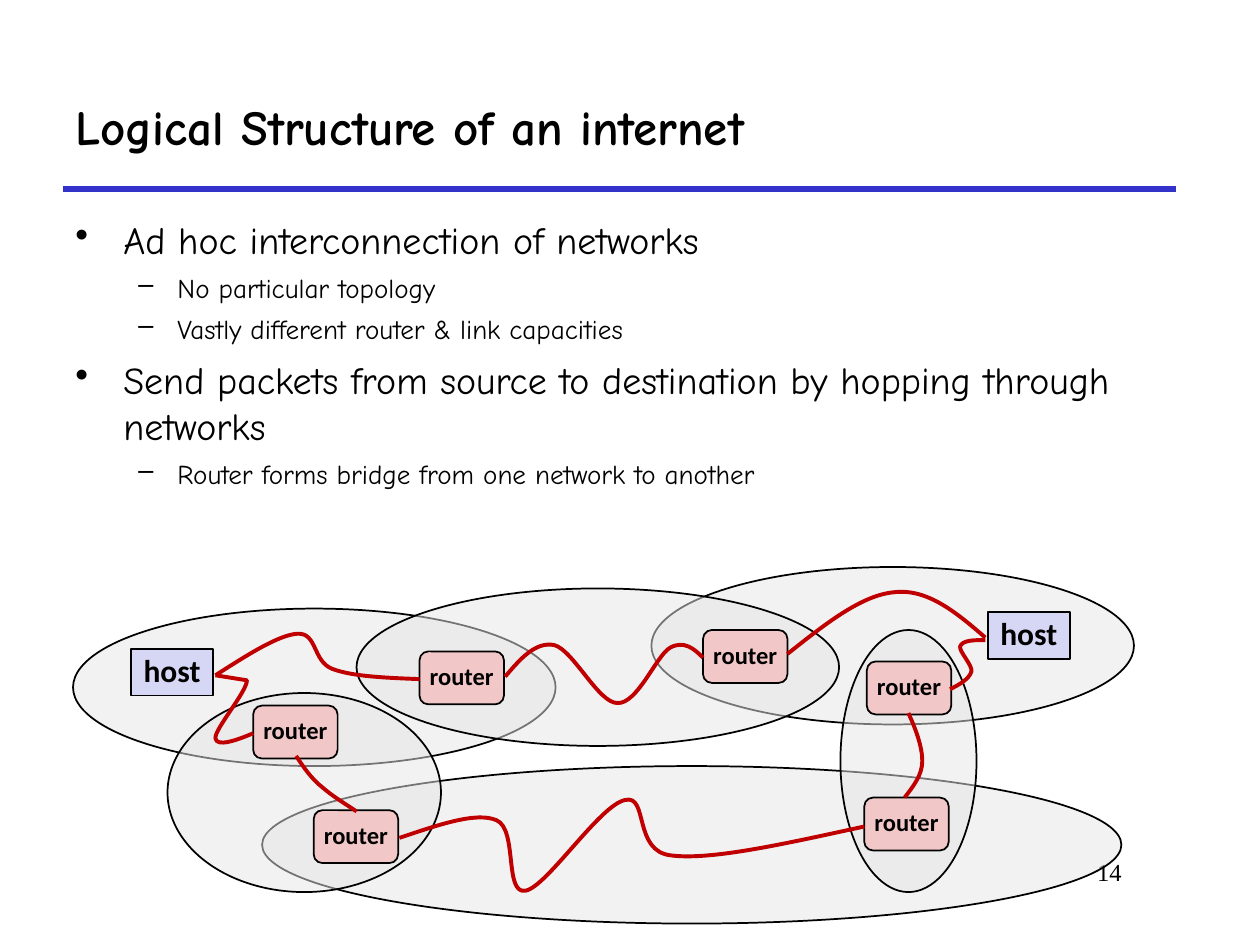
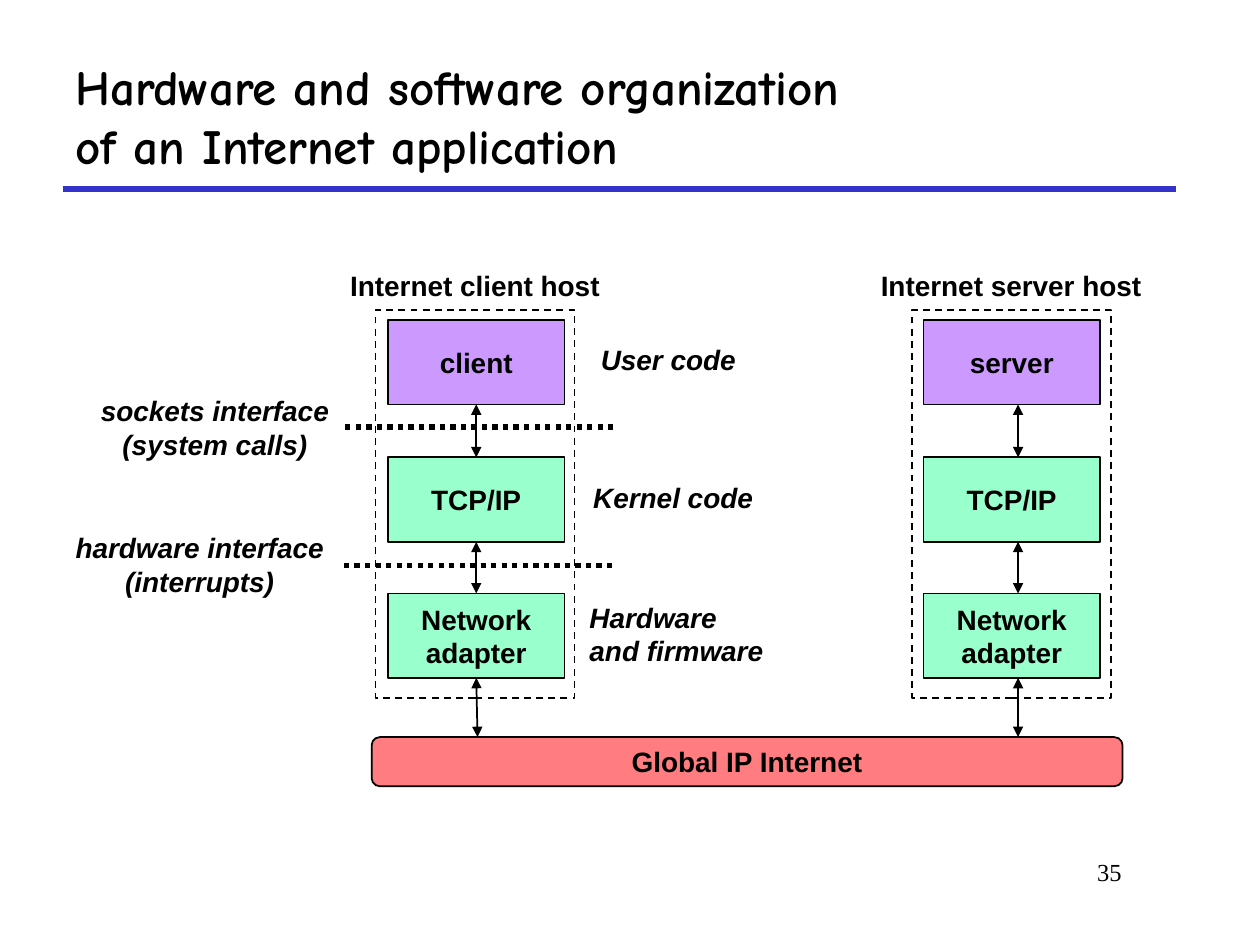
from lxml.etree import SubElement
from pptx import Presentation
from pptx.dml.color import RGBColor
from pptx.enum.dml import MSO_LINE as Dash
from pptx.enum.shapes import MSO_CONNECTOR as Connector, MSO_SHAPE as Shape
from pptx.enum.text import MSO_ANCHOR as Anchor, PP_ALIGN as Align
from pptx.oxml.ns import qn
from pptx.util import Pt

PX = 9144  # 100 px to the inch


class Theme:
    BLACK = "000000"
    RULE = "3333CC"
    CLOUD = "E6E6E6"
    ROUTER = "F1C7C7"
    HOST = "D6D6F5"
    ROUTE = "C00000"
    USER = "CC99FF"
    SYSTEM = "99FFCC"
    INTERNET = "FF7C80"
    TITLE = {"name": "Comic Neue", "size": Pt(28), "bold": True}
    BODY = {"name": "Comic Neue", "size": Pt(21.7)}
    SUB_SIZE = Pt(15.5)
    ROUTER_TEXT = {"name": "Calibri", "size": Pt(14), "bold": True}
    HOST_TEXT = {"name": "Calibri", "size": Pt(18), "bold": True}
    LABEL = {"name": "Arial", "size": Pt(16), "bold": True}
    NOTE = {**LABEL, "italic": True}
    NUMBER = {"name": "Times New Roman", "size": Pt(14)}


def add_box(page, kind, at, lines=(), look=None, fill=None, dash=None,
            align=Align.CENTER, anchor=Anchor.MIDDLE, wrap=False, spacing=None):
    """Add a preset shape, or a text box when kind is None, with one paragraph per line."""
    place = [n * PX for n in at]
    if kind is None:
        box = page.shapes.add_textbox(*place)
    else:
        box = page.shapes.add_shape(kind, *place)
        box.shadow.inherit = False
        box.line.color.rgb = RGBColor.from_string(Theme.BLACK)
        box.line.width = Pt(1)
        if dash:
            box.line.dash_style = dash
        if fill:
            box.fill.solid()
            box.fill.fore_color.rgb = RGBColor.from_string(fill)
        else:
            box.fill.background()
    frame = box.text_frame
    frame.word_wrap, frame.vertical_anchor = wrap, anchor
    for index, line in enumerate(lines):
        para = frame.add_paragraph() if index else frame.paragraphs[0]
        para.text = line
        para.alignment = align
        para.line_spacing = spacing
        for span in para.runs:
            span.font.color.rgb = RGBColor.from_string(Theme.BLACK)
            for name, value in look.items():
                setattr(span.font, name, value)
    return box


def add_line(page, start, end, color=Theme.BLACK, weight=1, dash=None, arrows=False):
    ends = [n * PX for n in (*start, *end)]
    line = page.shapes.add_connector(Connector.STRAIGHT, *ends)
    line.line.color.rgb = RGBColor.from_string(color)
    line.line.width = Pt(weight)
    if dash:
        line.line.dash_style = dash
    properties = line.element.spPr
    if arrows:
        for tag in ("a:headEnd", "a:tailEnd"):
            SubElement(properties.find(qn("a:ln")), qn(tag), type="triangle")
    SubElement(properties, qn("a:effectLst"))
    return line


deck = Presentation()
deck.slide_width, deck.slide_height = 1000 * PX, 750 * PX

# Title, rule and page number on both slides
pages = []
for title, title_at, number in (
    ("Logical Structure of an internet", (50, 50, 883, 100), "14"),
    ("Hardware and software organization \vof an Internet application",
     (50, 33, 883, 117), "35"),
):
    page = deck.slides.add_slide(deck.slide_layouts[6])
    add_line(page, (50, 150), (933, 150), Theme.RULE, 3)
    add_box(page, None, title_at, [title], Theme.TITLE, align=Align.LEFT, wrap=True)
    add_box(page, None, (758, 675, 142, 50), [number], Theme.NUMBER,
            align=Align.RIGHT, anchor=Anchor.TOP, wrap=True)
    pages.append(page)
structure, organization = pages

# Slide 1: bullets
points = [
    (0, "Ad hoc interconnection of networks"),
    (1, "No particular topology"),
    (1, "Vastly different router & link capacities"),
    (0, "Send packets from source to destination by hopping through networks"),
    (1, "Router forms bridge from one network to another"),
]
levels = [("•", 38, -38, 7, Theme.BODY["size"]), ("–", 81, -31, 5, Theme.SUB_SIZE)]
body = add_box(structure, None, (50, 167, 909, 230), [text for _, text in points],
               Theme.BODY, align=Align.LEFT, anchor=Anchor.TOP, wrap=True)
for index, (level, _) in enumerate(points):
    mark, margin, indent, before, size = levels[level]
    para = body.text_frame.paragraphs[index]
    para.level = level
    if index:
        para.space_before = Pt(before)
    para.runs[0].font.size = size
    properties = para._p.get_or_add_pPr()
    properties.set("marL", str(margin * PX))
    properties.set("indent", str(indent * PX))
    SubElement(properties, qn("a:buChar"), char=mark)

# Slide 1: overlapping networks with routers and hosts
networks = [
    (58, 483, 383, 125), (208, 608, 682, 125), (517, 450, 383, 125),
    (283, 467, 383, 125), (133, 550, 217, 158), (667, 500, 108, 208),
]
for at in networks:
    network = add_box(structure, Shape.OVAL, at, fill=Theme.CLOUD)
    tint = network.element.spPr.find(qn("a:solidFill"))[0]
    SubElement(tint, qn("a:alpha"), val="50000")
for left, top in ((201, 560), (249, 643), (333, 517), (558, 500), (686, 633), (688, 525)):
    add_box(structure, Shape.ROUNDED_RECTANGLE, (left, top, 67, 42), ["router"],
            Theme.ROUTER_TEXT, Theme.ROUTER, spacing=0.9)
for left, top in ((784, 486), (104, 515)):
    add_box(structure, Shape.RECTANGLE, (left, top, 65, 37), ["host"],
            Theme.HOST_TEXT, Theme.HOST, spacing=0.9)

# Each route is a start point, then two handles and an end point per curve
routes = [
    [(171, 536), (171, 536), (196, 540), (196, 540), (196, 549), (170, 579), (171, 586),
     (172, 593), (187, 588), (201, 582)],
    [(171, 536), (196, 520), (221, 504), (236, 503), (252, 502), (248, 525), (264, 531),
     (280, 537), (307, 538), (333, 539)],
    [(235, 600), (241, 609), (247, 618), (256, 625), (264, 632), (274, 638), (283, 644)],
    [(401, 537), (413, 523), (425, 509), (440, 512), (455, 516), (475, 558), (490, 558),
     (506, 559), (521, 520), (532, 514), (543, 508), (551, 515), (558, 522)],
    [(625, 519), (654, 496), (684, 472), (710, 470), (736, 467), (759, 486), (782, 506)],
    [(317, 665), (347, 655), (378, 644), (394, 651), (411, 658), (400, 710), (417, 707),
     (434, 704), (476, 639), (496, 635), (515, 630), (502, 676), (533, 679),
     (565, 683), (626, 669), (686, 656)],
    [(718, 633), (725, 624), (732, 615), (732, 604), (732, 593), (727, 579), (721, 566)],
    [(754, 547), (762, 543), (769, 539), (771, 533), (772, 528), (761, 517), (762, 513),
     (764, 508), (773, 508), (782, 508)],
]
for start, *handles in routes:
    builder = structure.shapes.build_freeform(*start, scale=PX)
    builder.add_line_segments(handles, close=False)
    route = builder.convert_to_shape()
    route.shadow.inherit = False
    route.fill.background()
    route.line.color.rgb = RGBColor.from_string(Theme.ROUTE)
    route.line.width = Pt(2.25)
    outline = route.element.find(".//" + qn("a:path"))
    steps = outline.findall(qn("a:lnTo"))
    for first in range(0, len(steps), 3):
        curve = SubElement(outline, qn("a:cubicBezTo"))
        for step in steps[first:first + 3]:
            curve.append(step[0])
            outline.remove(step)

# Slide 2: the two hosts on the global network
add_box(organization, Shape.ROUNDED_RECTANGLE, (295, 585, 596, 39),
        ["Global IP Internet"], Theme.LABEL, Theme.INTERNET)
LAYER_TOPS, LAYER_HEIGHT, INTERNET_TOP = (254, 363, 471), 67, 585
hosts = [
    ("Internet client host", (268, 208, 218, 37), "client", 308, 298, 379, True),
    ("Internet server host", (689, 208, 227, 37), "server", 733, 724, 808, False),
]
for heading, heading_at, program, left, frame_left, arrow_x, centred in hosts:
    add_box(organization, None, heading_at, [heading], Theme.LABEL)
    layers = [([program], Theme.USER), (["TCP/IP"], Theme.SYSTEM),
              (["Network", "adapter"], Theme.SYSTEM)]
    boxes = [add_box(organization, Shape.RECTANGLE, (left, top, 140, LAYER_HEIGHT),
                     lines, Theme.LABEL, fill)
             for top, (lines, fill) in zip(LAYER_TOPS, layers)]
    for index, box in enumerate(boxes):
        below = (*LAYER_TOPS, INTERNET_TOP)[index + 1]
        arrow = add_line(organization, (arrow_x, LAYER_TOPS[index] + LAYER_HEIGHT),
                         (arrow_x, below), arrows=True)
        if centred:
            arrow.begin_connect(box, 2)
            if index + 1 < len(boxes):
                arrow.end_connect(boxes[index + 1], 0)
    add_box(organization, Shape.RECTANGLE, (frame_left, 246, 158, 308), dash=Dash.DASH)

# Slide 2: interfaces and code levels
for left, y, width in ((274, 339, 216), (273, 449, 215)):
    add_line(organization, (left, y), (left + width, y), weight=3, dash=Dash.ROUND_DOT)
notes = [
    ((70, 307, 201, 64), ["sockets interface", "(system calls)"], Align.CENTER),
    ((50, 416, 217, 64), ["hardware interface", "(interrupts)"], Align.CENTER),
    ((467, 267, 127, 37), ["User code"], Align.LEFT),
    ((461, 376, 147, 37), ["Kernel code"], Align.LEFT),
    ((458, 471, 158, 64), ["Hardware \vand firmware"], Align.LEFT),
]
for at, lines, align in notes:
    add_box(organization, None, at, lines, Theme.NOTE, align=align)

deck.save("out.pptx")
